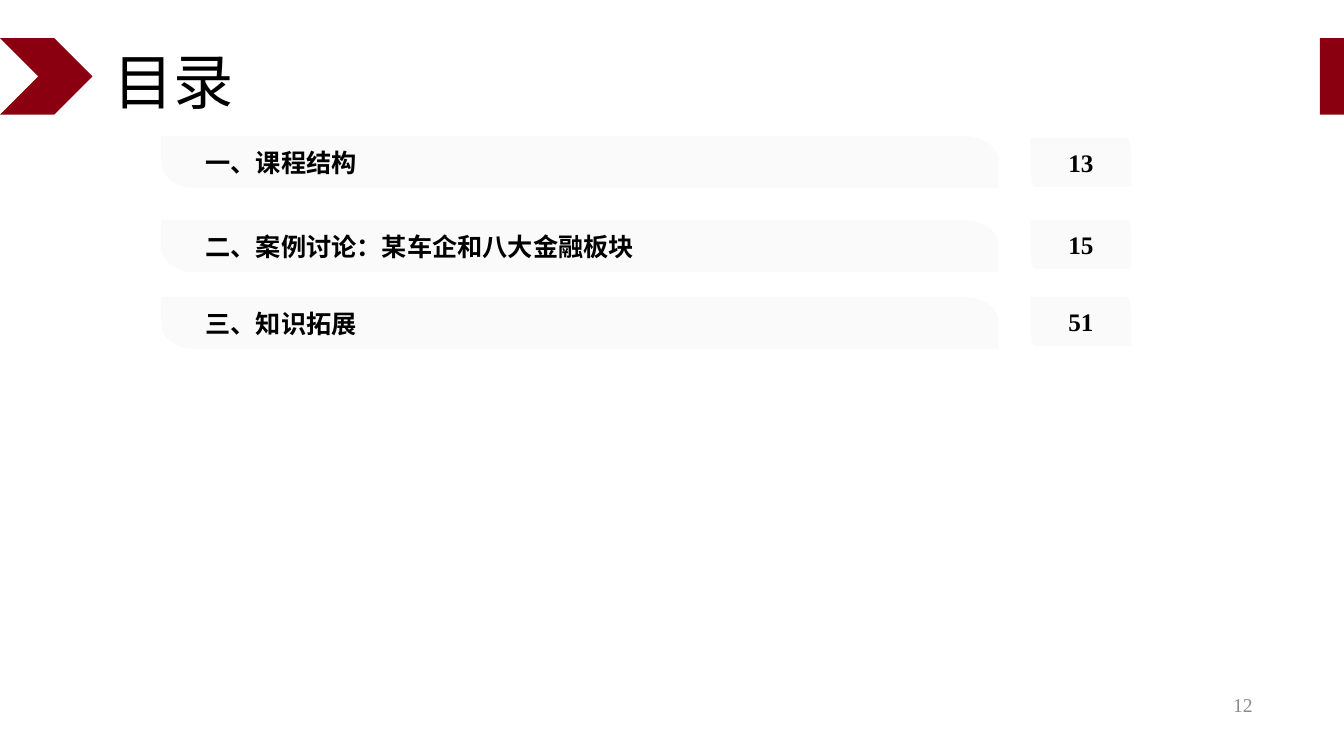
from lxml.etree import SubElement
from pptx import Presentation
from pptx.dml.color import RGBColor
from pptx.enum.shapes import MSO_SHAPE
from pptx.enum.text import MSO_ANCHOR, PP_ALIGN
from pptx.oxml.ns import qn
from pptx.util import Cm, Pt

TITLE = "目录"
PAGE = "12"
# label, page, top of the bar, top of the page tag (cm)
ROWS = [
    ("一、课程结构", "13", 3.43, 3.48),
    ("二、案例讨论：某车企和八大金融板块", "15", 5.55, 5.54),
    ("三、知识拓展", "51", 7.49, 7.49),
]
# left, width, height, corner width, corner height (cm)
BAR = (4.06, 21.11, 1.31, 0.86, 0.65)
TAG = (25.97, 2.54, 1.23, 0.1, 0.61)

FONT = "Times New Roman"
RED = RGBColor(0x8B, 0x00, 0x11)
PALE = RGBColor(0xFA, 0xFA, 0xFA)
BLACK = RGBColor(0, 0, 0)
GREY = RGBColor(0x8C, 0x8C, 0x8C)
BEND = 0.55

deck = Presentation()
deck.slide_width, deck.slide_height = Cm(33.87), Cm(19.05)
slide = deck.slides.add_slide(deck.slide_layouts[6])
shapes = slide.shapes


def paint(shape, color):
    shape.shadow.inherit = False
    shape.fill.solid()
    shape.fill.fore_color.rgb = color
    shape.line.fill.background()


def write(shape, text, size, color, align, bold=False):
    frame = shape.text_frame
    frame.text = text
    frame.word_wrap = True
    frame.vertical_anchor = MSO_ANCHOR.MIDDLE
    line = frame.paragraphs[0]
    line.alignment = align
    font = line.runs[0].font
    font.name, font.size, font.bold = FONT, Pt(size), bold
    font.color.rgb = color
    return frame


def bend(start, step):
    """Turn a straight step of an outline into a quarter of an ellipse."""
    end = step[0]
    x0, y0 = int(start.get("x")), int(start.get("y"))
    x1, y1 = int(end.get("x")), int(end.get("y"))
    step.tag = qn("a:cubicBezTo")
    step.remove(end)
    for x, y in ((x0 + BEND * (x1 - x0), y0),
                 (x1, y1 + BEND * (y0 - y1)),
                 (x1, y1)):
        SubElement(step, qn("a:pt"), x=str(round(x)), y=str(round(y)))


def panel(box, top):
    """Draw a pale box with its top right and bottom left corners rounded."""
    left, width, height, rx, ry = box
    right, base = left + width, top + height
    points = [(left, top), (right - rx, top), (right, top + ry),
              (right, base), (left + rx, base), (left, base - ry)]
    points = [(Cm(x), Cm(y)) for x, y in points]
    pen = shapes.build_freeform(*points[0])
    pen.add_line_segments(points[1:], close=True)
    shape = pen.convert_to_shape()
    steps = list(next(shape.element.iter(qn("a:path"))))
    for corner in (2, 5):
        bend(steps[corner - 1][0], steps[corner])
    paint(shape, PALE)
    return shape


for kind, left, width in ((MSO_SHAPE.CHEVRON, 0, 2.33),
                          (MSO_SHAPE.RECTANGLE, 33.26, 0.61)):
    paint(shapes.add_shape(kind, Cm(left), Cm(0.96), Cm(width), Cm(1.93)), RED)

head = shapes.add_textbox(Cm(2.62), Cm(1), Cm(23.42), Cm(2.29))
write(head, TITLE, 43, BLACK, PP_ALIGN.LEFT).paragraphs[0].line_spacing = 0.9
foot = shapes.add_textbox(Cm(24.2), Cm(17.25), Cm(7.62), Cm(1.02))
write(foot, PAGE, 14, GREY, PP_ALIGN.RIGHT)

for label, page, top, tag_top in ROWS:
    frame = write(panel(BAR, top), label, 18, BLACK, PP_ALIGN.LEFT, True)
    frame.margin_left = Cm(1.12)
    frame.margin_top = frame.margin_bottom = Cm(0.1)
    frame = write(panel(TAG, tag_top), page, 18, BLACK, PP_ALIGN.CENTER, True)
    frame.margin_left = frame.margin_right = 0
    frame.margin_top = frame.margin_bottom = 0

deck.save("out.pptx")
